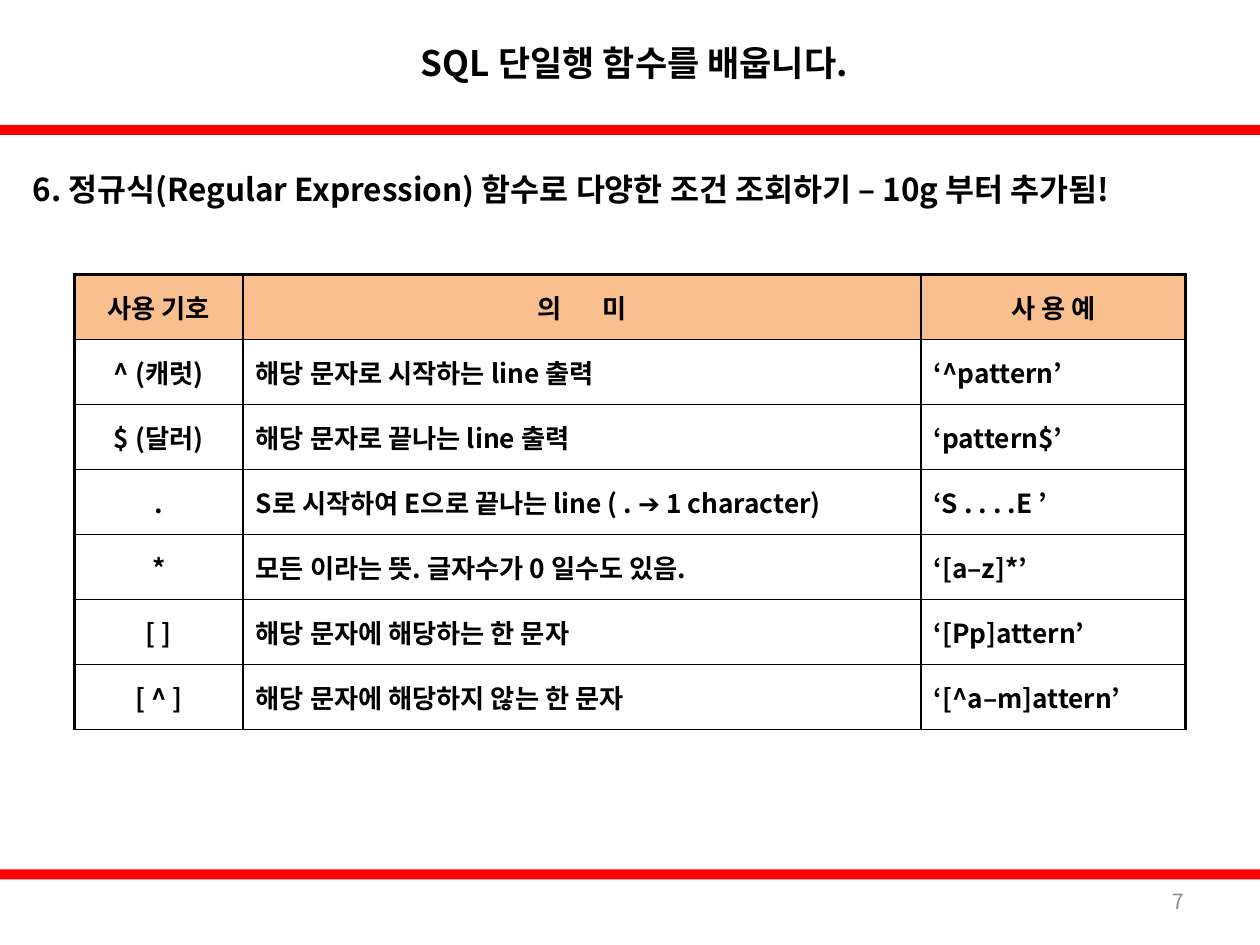
from lxml import etree
from pptx import Presentation
from pptx.dml.color import RGBColor
from pptx.enum import shapes, text
from pptx.oxml import ns
from pptx.util import Pt

FONT = "Noto Sans CJK KR"
BLACK = RGBColor(0, 0, 0)
RED = RGBColor(0xFF, 0, 0)
GRAY = RGBColor(0x8C, 0x8C, 0x8C)
PEACH = RGBColor(0xFA, 0xBF, 0x8F)
LEFT, MID, RIGHT, FULL = (
    text.PP_ALIGN.LEFT, text.PP_ALIGN.CENTER,
    text.PP_ALIGN.RIGHT, text.PP_ALIGN.JUSTIFY)
THIN, THICK = 1, 2.25
COLS = (96.5, 387.4, 151.2)
ROW = 37.14
ROWS = (
    ("사용 기호", "의 미", "사 용 예"),
    ("^ (캐럿)", "해당 문자로 시작하는 line 출력", "‘^pattern’"),
    ("$ (달러)", "해당 문자로 끝나는 line 출력", "‘pattern$’"),
    (".", "S로 시작하여 E으로 끝나는 line ( . ➔ 1 character)", "‘S . . . .E ’"),
    ("*", "모든 이라는 뜻. 글자수가 0 일수도 있음.", "‘[a–z]*’"),
    ("[ ]", "해당 문자에 해당하는 한 문자", "‘[Pp]attern’"),
    ("[ ^ ]", "해당 문자에 해당하지 않는 한 문자", "‘[^a–m]attern’"),
)


def style(para, size, align, color=BLACK, bold=True):
    """Align a paragraph and format its runs, Korean font included."""
    para.alignment = align
    for run in para.runs:
        font = run.font
        font.size, font.bold, font.name = Pt(size), bold, FONT
        font.color.rgb = color
        east = etree.SubElement(run._r.get_or_add_rPr(), ns.qn("a:ea"))
        east.set("typeface", FONT)


def bar(slide, top):
    """Draw a red band across the slide."""
    band = slide.shapes.add_shape(
        shapes.MSO_SHAPE.RECTANGLE, 0, Pt(top), Pt(720), Pt(5.76))
    band.shadow.inherit = False
    band.fill.solid()
    band.fill.fore_color.rgb = RED
    band.line.fill.background()


def label(slide, words, box, *look):
    """Add a text box centred on its height."""
    frame = slide.shapes.add_textbox(*map(Pt, box)).text_frame
    frame.word_wrap = True
    frame.vertical_anchor = text.MSO_ANCHOR.MIDDLE
    frame.text = words
    style(frame.paragraphs[0], *look)


def edge(cell, widths):
    """Set the left, right, top and bottom borders of a cell."""
    props = cell._tc.get_or_add_tcPr()
    for spot, (side, width) in enumerate(zip("LRTB", widths)):
        line = etree.Element(ns.qn("a:ln" + side), w=str(Pt(width)))
        fill = etree.SubElement(line, ns.qn("a:solidFill"))
        etree.SubElement(fill, ns.qn("a:srgbClr"), val=str(BLACK))
        props.insert(spot, line)


def spread(para, gap):
    """Widen the space between two words by a gap in points."""
    first, last = para.text.split()
    para.text = first
    for part in (" ", last):
        para.add_run().text = part
    para.runs[1]._r.get_or_add_rPr().set("spc", str(gap * 100))


def grid(slide):
    """Add the table of pattern symbols."""
    table = slide.shapes.add_table(
        len(ROWS), len(COLS), Pt(42.5), Pt(157),
        Pt(sum(COLS)), Pt(ROW * len(ROWS))).table
    for col, width in zip(table.columns, COLS):
        col.width = Pt(width)
    for r, row in enumerate(ROWS):
        table.rows[r].height = Pt(ROW)
        for c, words in enumerate(row):
            cell = table.cell(r, c)
            cell.vertical_anchor = text.MSO_ANCHOR.MIDDLE
            cell.text = words
            para = cell.text_frame.paragraphs[0]
            if (r, c) == (0, 1):
                spread(para, 20)
            style(para, 15, MID if r == 0 or c == 0 else FULL)
            if r == 0:
                cell.fill.solid()
                cell.fill.fore_color.rgb = PEACH
            else:
                cell.fill.background()
            edge(cell, (THICK if c == 0 else THIN,
                        THICK if c == len(COLS) - 1 else THIN,
                        THICK if r == 0 else THIN, THIN))


def main():
    """Build and save the slide."""
    deck = Presentation()
    deck.slide_width, deck.slide_height = Pt(720), Pt(540)
    slide = deck.slides.add_slide(deck.slide_layouts[6])
    for top in (71.3, 496.8):
        bar(slide, top)
    label(slide, "SQL 단일행 함수를 배웁니다.",
          (121.7, 0, 481.7, 71.3), 20, MID)
    label(slide, "7", (516.2, 500.4, 167.8, 28.8), 12, RIGHT, GRAY, False)
    label(slide, "6. 정규식(Regular Expression) 함수로 다양한 조건 조회하기 "
          "– 10g 부터 추가됨!", (11.5, 71.3, 705.6, 73.4), 18, LEFT)
    grid(slide)
    deck.save("out.pptx")


main()
